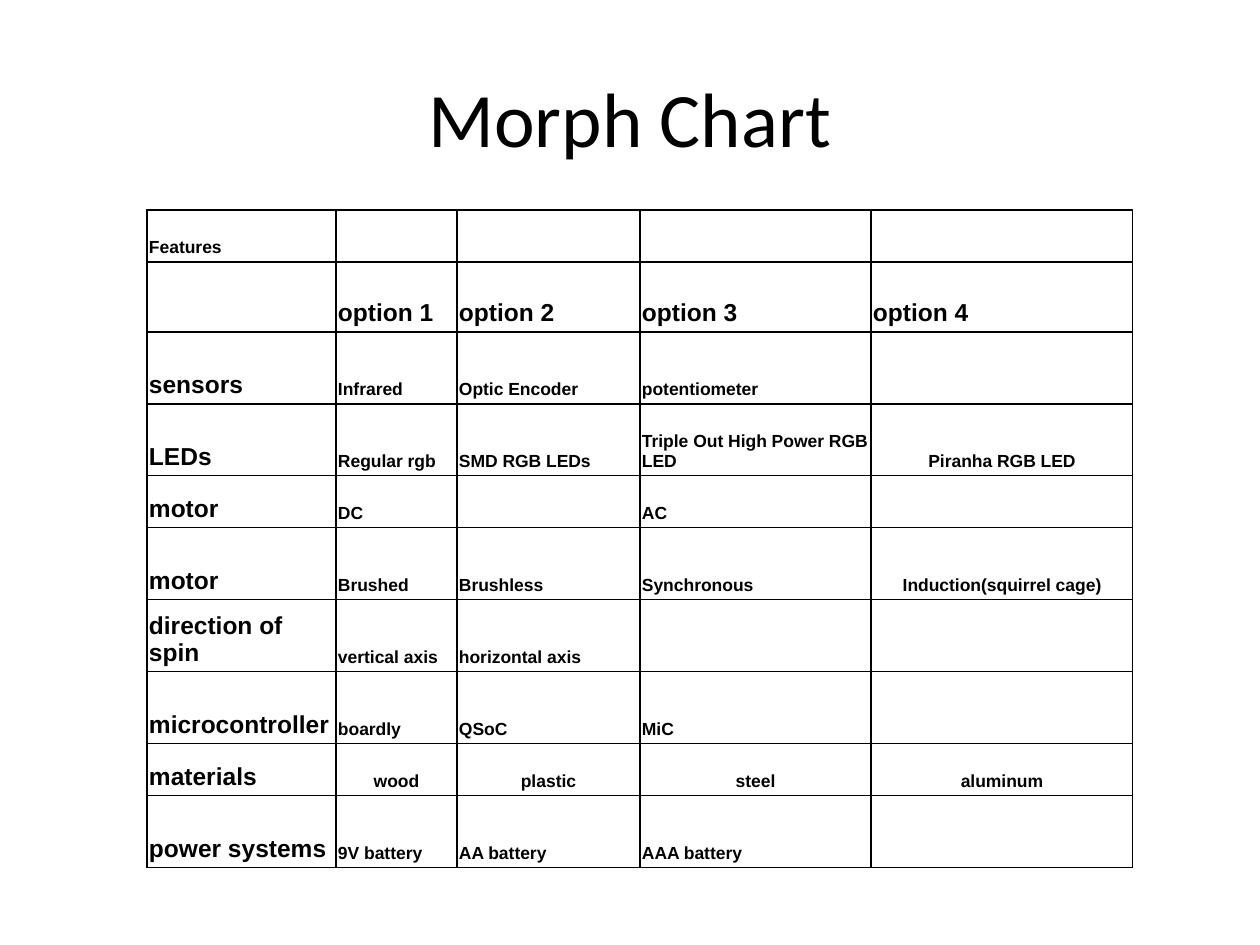
from lxml.etree import SubElement
from pptx import Presentation
from pptx.dml.color import RGBColor
from pptx.enum.text import MSO_ANCHOR as Anchor, PP_ALIGN as Align
from pptx.oxml.ns import qn
from pptx.util import Emu, Pt

BLACK = RGBColor(0, 0, 0)
WHITE = RGBColor(255, 255, 255)
PX_PER_INCH = 126
BORDER = Pt(0.75)

TITLE_BOX = (63, 38, 1134, 157)
CHART_ORIGIN = (147, 210)
COLUMN_WIDTHS = [189, 121, 183, 231, 262]
SHORT, HEADING, TALL = 52, 70, 72

# Row height, then the feature and its options
FEATURES = [
    (SHORT, ["Features"]),
    (HEADING, ["", "option 1", "option 2", "option 3", "option 4"]),
    (TALL, ["sensors", "Infrared", "Optic Encoder", "potentiometer"]),
    (TALL, ["LEDs", "Regular rgb", "SMD RGB LEDs",
            "Triple Out High Power RGB LED", "Piranha RGB LED"]),
    (SHORT, ["motor", "DC", "", "AC"]),
    (TALL, ["motor", "Brushed", "Brushless", "Synchronous",
            "Induction(squirrel cage)"]),
    (TALL, ["direction of spin", "vertical axis", "horizontal axis"]),
    (TALL, ["microcontroller", "boardly", "QSoC", "MiC"]),
    (SHORT, ["materials", "wood", "plastic", "steel", "aluminum"]),
    (TALL, ["power systems", "9V battery", "AA battery", "AAA battery"]),
]
OPTION_ROW, MATERIALS_ROW = 1, 8

TITLE_FONT = {"name": "Calibri", "size": Pt(44)}
LABEL_FONT = {"name": "Arial", "size": Pt(14), "bold": True}
ENTRY_FONT = {**LABEL_FONT, "size": Pt(10)}


def px(length):
    return Emu(round(length * 914400 / PX_PER_INCH))


CELL_FORMAT = {"vertical_anchor": Anchor.BOTTOM,
               "margin_left": px(2), "margin_right": px(2),
               "margin_top": px(5), "margin_bottom": px(5)}


def apply_format(target, values):
    for attribute, value in values.items():
        setattr(target, attribute, value)


def write(paragraph, text, font, align):
    paragraph.alignment = align
    run = paragraph.add_run()
    run.text = text
    apply_format(run.font, font)
    run.font.color.rgb = BLACK


def add_borders(cell):
    properties = cell._tc.get_or_add_tcPr()
    for index, side in enumerate(("lnL", "lnR", "lnT", "lnB")):
        line = SubElement(properties, qn(f"a:{side}"), w=str(BORDER))
        solid = SubElement(line, qn("a:solidFill"))
        SubElement(solid, qn("a:srgbClr"), val=str(BLACK))
        properties.insert(index, line)


def add_title(slide, box):
    title = slide.shapes.add_textbox(*map(px, box)).text_frame
    apply_format(title, {"word_wrap": True, "vertical_anchor": Anchor.MIDDLE})
    write(title.paragraphs[0], "Morph Chart", TITLE_FONT, Align.CENTER)


def add_morph_chart(slide, origin):
    size = (sum(COLUMN_WIDTHS), sum(height for height, _ in FEATURES))
    chart = slide.shapes.add_table(len(FEATURES), len(COLUMN_WIDTHS),
                                   *map(px, origin + size)).table
    apply_format(chart, {"first_row": False, "horz_banding": False})
    for column, width in zip(chart.columns, COLUMN_WIDTHS):
        column.width = px(width)

    for r, (height, entries) in enumerate(FEATURES):
        chart.rows[r].height = px(height)
        for c in range(len(COLUMN_WIDTHS)):
            cell = chart.cell(r, c)
            apply_format(cell, CELL_FORMAT)
            cell.fill.solid()
            cell.fill.fore_color.rgb = WHITE
            add_borders(cell)
            if c >= len(entries) or not entries[c]:
                continue
            is_label = r == OPTION_ROW or (c == 0 and r > OPTION_ROW)
            # Materials and the last option are centred
            centred = not is_label and c > 0 and (r == MATERIALS_ROW or c == 4)
            write(cell.text_frame.paragraphs[0], entries[c],
                  LABEL_FONT if is_label else ENTRY_FONT,
                  Align.CENTER if centred else Align.LEFT)


def main():
    deck = Presentation()
    deck.slide_width, deck.slide_height = px(1260), px(945)
    slide = deck.slides.add_slide(deck.slide_layouts[6])
    add_title(slide, TITLE_BOX)
    add_morph_chart(slide, CHART_ORIGIN)
    deck.save("out.pptx")


if __name__ == "__main__":
    main()
